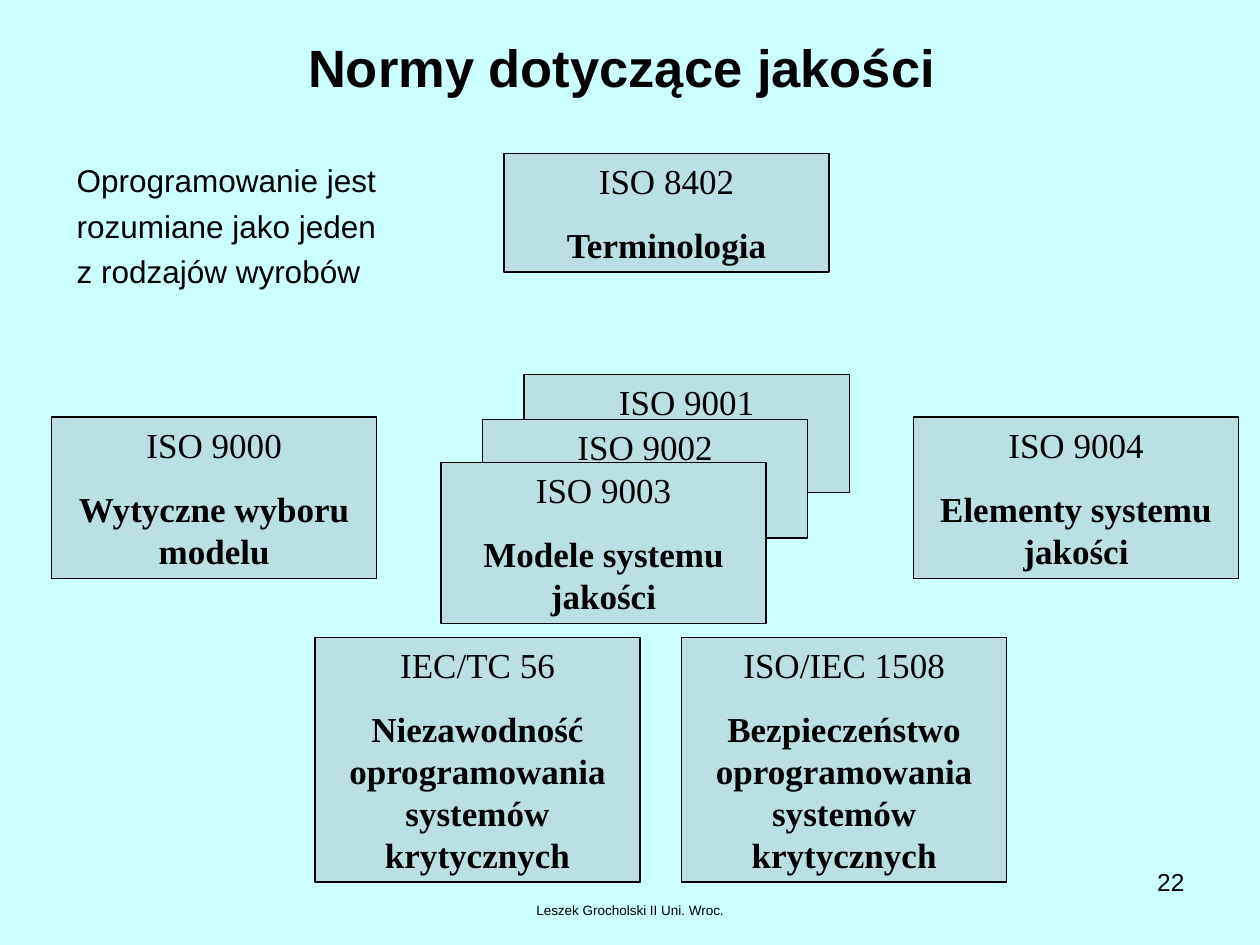
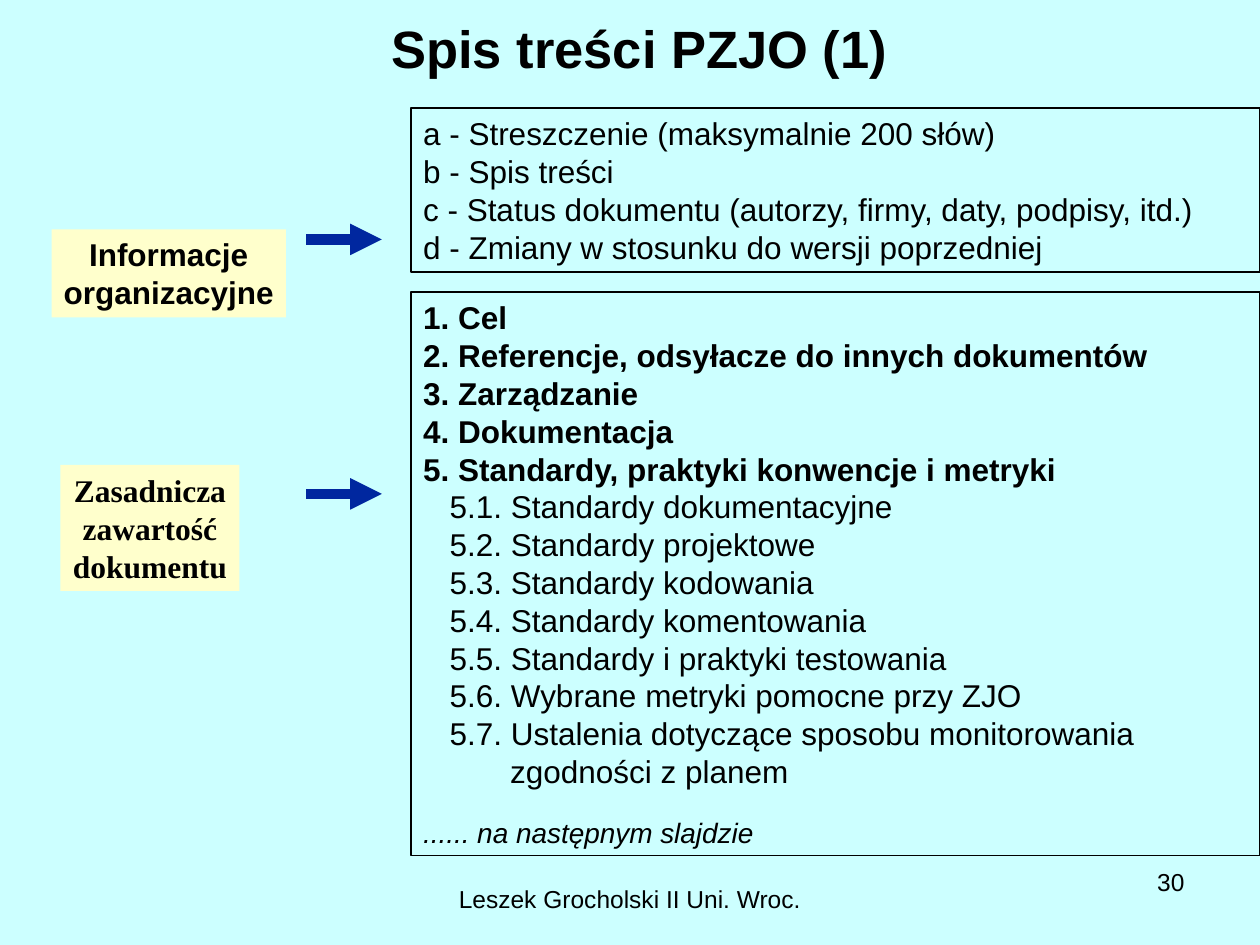
from lxml import etree
from pptx import Presentation
from pptx.dml.color import RGBColor
from pptx.enum.shapes import MSO_CONNECTOR, MSO_SHAPE
from pptx.enum.text import MSO_ANCHOR, MSO_AUTO_SIZE, PP_ALIGN
from pptx.oxml.ns import qn
from pptx.util import Inches, Pt

RECT = MSO_SHAPE.RECTANGLE
STRAIGHT = MSO_CONNECTOR.STRAIGHT
TOP, MIDDLE = MSO_ANCHOR.TOP, MSO_ANCHOR.MIDDLE
LEFT, CENTER, RIGHT = PP_ALIGN.LEFT, PP_ALIGN.CENTER, PP_ALIGN.RIGHT
COLORS = {"background": "CCFFFF", "text": "000000", "card": "BBE0E3",
          "label": "FFFFCC", "arrow": "00279F"}
SANS, SERIF = "Arial", "Times New Roman"


def write(sp, lines, size, font=SANS, align=LEFT, bold=False, gap=0, wrap=True):
    """Fill a shape with one paragraph per line; gap is the space between them in points."""
    tf = sp.text_frame
    tf.word_wrap = wrap
    tf.auto_size = MSO_AUTO_SIZE.NONE
    tf.vertical_anchor = TOP
    for i, line in enumerate(lines):
        p = tf.add_paragraph() if i else tf.paragraphs[0]
        p.text = line
        p.alignment = align
        p.space_before = Pt(gap if i else 0)
        p.font.size = Pt(size)
        p.font.name = font
        p.font.bold = bold
        p.font.color.rgb = RGBColor.from_string(COLORS["text"])
    return tf


def add_box(shapes, box, fill, line_width=0):
    sp = shapes.add_shape(RECT, *map(Inches, box))
    sp.shadow.inherit = False
    sp.fill.solid()
    sp.fill.fore_color.rgb = RGBColor.from_string(COLORS[fill])
    if line_width:
        sp.line.color.rgb = RGBColor.from_string(COLORS["text"])
        sp.line.width = Pt(line_width)
    else:
        sp.line.fill.background()
    return sp


prs = Presentation()
prs.slide_width, prs.slide_height = Inches(10), Inches(7.5)
background = prs.slide_master.background.fill
background.solid()
background.fore_color.rgb = RGBColor.from_string(COLORS["background"])

# Title, footer and page number of both slides
pages = [
    ("Normy dotyczące jakości", (0.21, 0.21, 9.45, 0.63), "22", (3.42, 7.11, 3.16, 0.24), 7.7),
    ("Spis treści PZJO (1)", (0.5, 0, 9.15, 0.76), "30", (3.42, 6.97, 3.16, 0.38), 14),
]
for title, title_box, number, footer_box, footer_size in pages:
    s = prs.slides.add_slide(prs.slide_layouts[5])
    sp = s.shapes.title
    sp.left, sp.top, sp.width, sp.height = map(Inches, title_box)
    write(sp, [title], 30, align=CENTER, bold=True).vertical_anchor = MIDDLE
    sp = s.shapes.add_textbox(*map(Inches, footer_box))
    write(sp, ["Leszek Grocholski II Uni. Wroc."], footer_size, align=CENTER)
    sp = s.shapes.add_textbox(Inches(7.17), Inches(6.83), Inches(2.33), Inches(0.52))
    write(sp, [number], 14, align=RIGHT)
standards, contents = prs.slides

# Slide 1: map of the standards, with the three system models stacked in a group
models = standards.shapes.add_group_shape().shapes
others = standards.shapes
cards = [
    (models, 4.16, 2.97, 0.94, ["ISO 9001"]),
    (models, 3.83, 3.33, 0.94, ["ISO 9002"]),
    (models, 3.5, 3.67, 1.28, ["ISO 9003", "Modele systemu jakości"]),
    (others, 7.25, 3.31, 1.28, ["ISO 9004", "Elementy systemu jakości"]),
    (others, 0.41, 3.31, 1.28, ["ISO 9000", "Wytyczne wyboru modelu"]),
    (others, 4, 1.22, 0.94, ["ISO 8402", "Terminologia"]),
    (others, 5.41, 5.06, 1.94,
     ["ISO/IEC 1508", "Bezpieczeństwo oprogramowania systemów krytycznych"]),
    (others, 2.5, 5.06, 1.94,
     ["IEC/TC 56", "Niezawodność oprogramowania systemów krytycznych"]),
]
for shapes, left, top, height, lines in cards:
    sp = add_box(shapes, (left, top, 2.58, height), "card", 0.75)
    tf = write(sp, lines, 20, SERIF, CENTER, gap=12.5)
    for p in tf.paragraphs[1:]:
        p.font.bold = True

sp = others.add_textbox(Inches(0.51), Inches(1.23), Inches(2.57), Inches(1.13))
write(sp, ["Oprogramowanie jest", "rozumiane jako jeden", "z rodzajów wyrobów"],
      18, gap=4.5, wrap=False)

# Slide 2: contents of the plan, each part with its label and arrow
sp = add_box(contents.shapes, (3.26, 0.86, 6.74, 1.3), "background", 1)
write(sp, ["a - Streszczenie (maksymalnie 200 słów)",
           "b - Spis treści",
           "c - Status dokumentu (autorzy, firmy, daty, podpisy, itd.)",
           "d - Zmiany w stosunku do wersji poprzedniej"], 18)

chapters = ["1. Cel", "2. Referencje, odsyłacze do innych dokumentów", "3. Zarządzanie",
            "4. Dokumentacja", "5. Standardy, praktyki konwencje i metryki"]
sections = ["5.1. Standardy dokumentacyjne", "5.2. Standardy projektowe",
            "5.3. Standardy kodowania", "5.4. Standardy komentowania",
            "5.5. Standardy i praktyki testowania",
            "5.6. Wybrane metryki pomocne przy ZJO",
            "5.7. Ustalenia dotyczące sposobu monitorowania zgodności z planem"]
sp = add_box(contents.shapes, (3.26, 2.32, 6.74, 4.47), "background", 1)
tf = write(sp, chapters + sections + ["...... na następnym slajdzie"], 18)
for p in tf.paragraphs[:len(chapters)]:
    p.font.bold = True
for p in tf.paragraphs[len(chapters):-1]:
    pPr = p._p.get_or_add_pPr()
    pPr.set("marL", str(Inches(0.69)))
    pPr.set("indent", str(Inches(-0.48)))
continued = tf.paragraphs[-1]
continued.space_before = Pt(14.4)
continued.font.size = Pt(16)
continued.font.italic = True

labels = [
    ((0.41, 1.82, 1.86, 0.7), SANS, ["Informacje", "organizacyjne"], 1.9),
    ((0.48, 3.69, 1.42, 1), SERIF, ["Zasadnicza", "zawartość", "dokumentu"], 3.92),
]
for box, font, lines, arrow_y in labels:
    sp = add_box(contents.shapes, box, "label")
    write(sp, lines, 18, font, CENTER, bold=True, wrap=False)
    arrow = contents.shapes.add_connector(
        STRAIGHT, Inches(2.43), Inches(arrow_y), Inches(3.03), Inches(arrow_y))
    arrow.line.color.rgb = RGBColor.from_string(COLORS["arrow"])
    arrow.line.width = Pt(6)
    etree.SubElement(arrow.line._get_or_add_ln(), qn("a:tailEnd"), type="triangle")
    etree.SubElement(arrow._element.spPr, qn("a:effectLst"))

prs.save("out.pptx")
